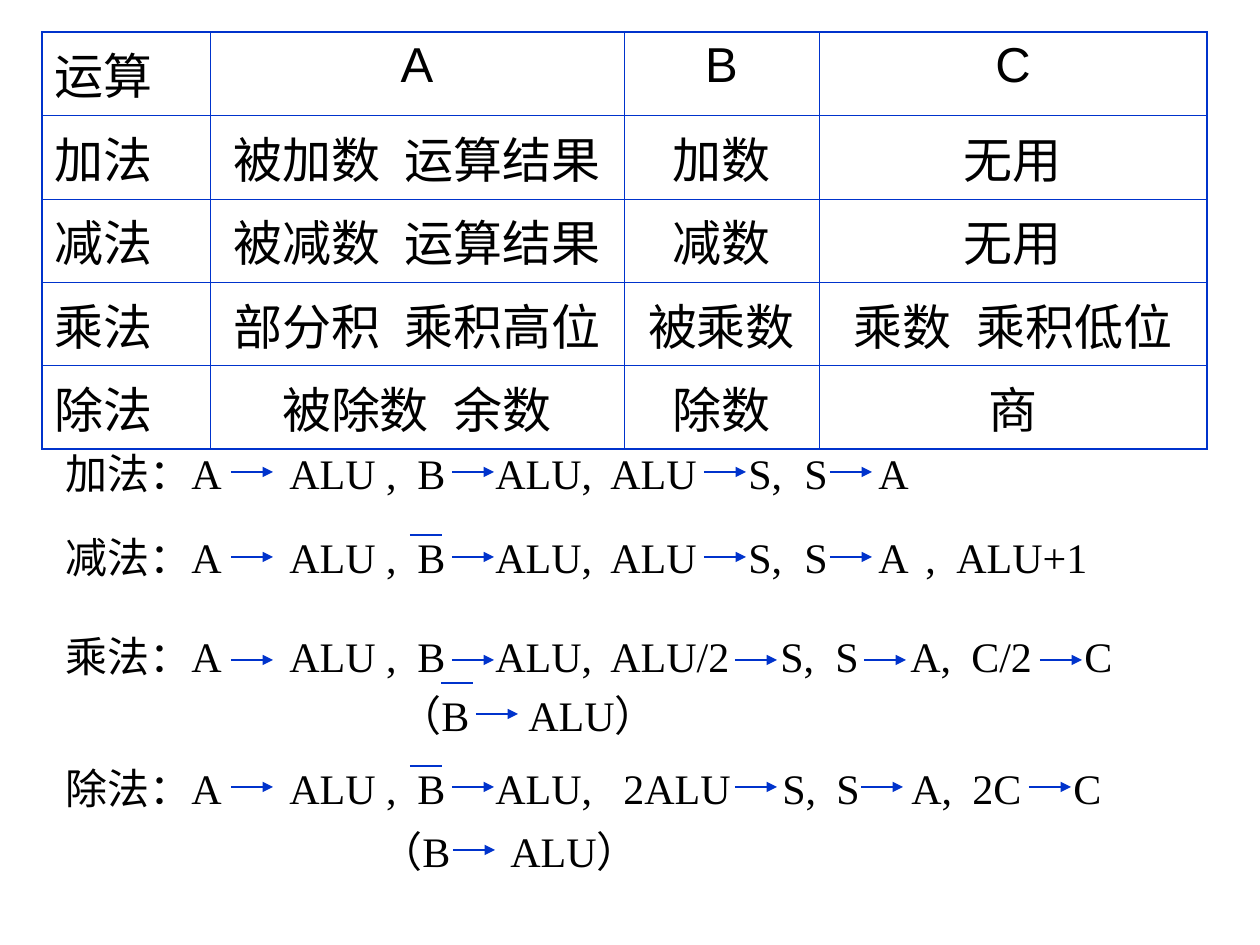
from lxml import etree
from pptx import Presentation
from pptx.dml.color import RGBColor
from pptx.enum.shapes import MSO_CONNECTOR
from pptx.enum.text import MSO_AUTO_SIZE as AutoSize, PP_ALIGN as Align
from pptx.oxml.ns import qn
from pptx.util import Pt

COLORS = {"text": "000000", "line": "0033CC", "cell": "FFFFFF"}

# Register use by operation; a space separates the initial and final content
REGISTERS = [
    ("运算", "A", "B", "C"),
    ("加法", "被加数 运算结果", "加数", "无用"),
    ("减法", "被减数 运算结果", "减数", "无用"),
    ("乘法", "部分积 乘积高位", "被乘数", "乘数 乘积低位"),
    ("除法", "被除数 余数", "除数", "商"),
]
COL_WIDTHS = [168, 414, 195, 388]
ROW_HEIGHTS = [73, 72, 71, 72, 71]
TABLE_LEFT, TABLE_TOP = 42, 32
OUTER, INNER = 1.08, 0.45

# Transfers: box left, top, width, first text, (x, text) stops, arrow y, arrow xs
LOAD = [(290, "ALU ,"), (418, "B"), (496, "ALU,")]
SUM = LOAD + [(611, "ALU"), (749, "S,"), (805, "S"), (879, "A")]
TRANSFERS = [
    (53, 441, 977, "加法：A", SUM, 472, [231, 452, 704, 830]),
    (53, 525, 1092, "减法：A", SUM + [(926, ","), (957, "ALU+1")],
     557, [231, 452, 704, 830]),
    (53, 624, 1134, "乘法：A",
     LOAD + [(611, "ALU/2"), (781, "S,"), (836, "S"), (911, "A,"),
             (972, "C/2"), (1085, "C")],
     660, [231, 452, 735, 864, 1040]),
    (387, 683, 369, "（B", [(529, "ALU）")], 714, [476]),
    (53, 756, 1134, "除法：A",
     LOAD + [(624, "2ALU"), (783, "S,"), (837, "S"), (912, "A,"),
             (973, "2C"), (1074, "C")],
     787, [231, 452, 735, 861, 1029]),
    (368, 819, 369, "（B", [(511, "ALU）")], 850, [453]),
]
BOX_HEIGHT, INSET = 63, 13
ARROW_LENGTH = 42
COMPLEMENT_BARS = [(410, 535), (441, 683), (410, 766)]
BAR_LENGTH = 32


def px(n):
    return round(n * 914400 / 126)


def rgb(name):
    return RGBColor.from_string(COLORS[name])


def set_font(paragraph, face, size):
    font = paragraph.font
    font.name, font.size = face, Pt(size)
    font.color.rgb = rgb("text")


def add_line(x, y, length, arrow=False):
    line = slide.shapes.add_connector(
        MSO_CONNECTOR.STRAIGHT, px(x), px(y), px(x + length), px(y))
    line.line.color.rgb = rgb("line")
    line.line.width = Pt(0.75)
    props = line._element.spPr
    if arrow:
        etree.SubElement(props.find(qn("a:ln")), qn("a:tailEnd"), type="triangle")
    etree.SubElement(props, qn("a:effectLst"))


def add_border(cell, side, width):
    border = etree.SubElement(cell._tc.get_or_add_tcPr(), qn(f"a:ln{side}"),
                              w=str(Pt(width)))
    fill = etree.SubElement(border, qn("a:solidFill"))
    etree.SubElement(fill, qn("a:srgbClr"), val=COLORS["line"])


def fill_cell(cell, text, row, col):
    last_row, last_col = len(REGISTERS) - 1, len(COL_WIDTHS) - 1
    edges = {"L": col == 0, "R": col == last_col,
             "T": row == 0, "B": row == last_row}
    for side, is_outer in edges.items():
        add_border(cell, side, OUTER if is_outer else INNER)
    cell.fill.solid()
    cell.fill.fore_color.rgb = rgb("cell")
    paragraph = cell.text_frame.paragraphs[0]
    paragraph.alignment = Align.CENTER if col else Align.LEFT
    paragraph.space_before = Pt(7)
    set_font(paragraph, "Arial", 28)
    before, space, after = text.partition(" ")
    paragraph.add_run().text = before
    if space:
        gap = paragraph.add_run()
        gap.text = space
        gap._r.get_or_add_rPr().set("spc", "800")  # widen the gap
        paragraph.add_run().text = after


def add_transfer(left, top, width, first, stops):
    box = slide.shapes.add_textbox(px(left), px(top), px(width), px(BOX_HEIGHT))
    frame = box.text_frame
    frame.word_wrap = True
    frame.auto_size = AutoSize.SHAPE_TO_FIT_TEXT
    paragraph = frame.paragraphs[0]
    paragraph.text = "\t".join([first] + [text for _, text in stops])
    tabs = etree.SubElement(paragraph._p.get_or_add_pPr(), qn("a:tabLst"))
    for x, _ in stops:
        etree.SubElement(tabs, qn("a:tab"), pos=str(px(x - left - INSET)), algn="l")
    set_font(paragraph, "Times New Roman", 24)


prs = Presentation()
prs.slide_width, prs.slide_height = px(1260), px(945)
slide = prs.slides.add_slide(prs.slide_layouts[6])

# Register table
table = slide.shapes.add_table(
    len(REGISTERS), len(COL_WIDTHS), px(TABLE_LEFT), px(TABLE_TOP),
    px(sum(COL_WIDTHS)), px(sum(ROW_HEIGHTS))).table
table.first_row = table.horz_banding = False
for column, width in zip(table.columns, COL_WIDTHS):
    column.width = px(width)
for r, (row, height) in enumerate(zip(table.rows, ROW_HEIGHTS)):
    row.height = px(height)
    for c, text in enumerate(REGISTERS[r]):
        fill_cell(table.cell(r, c), text, r, c)

# Transfer sequences with their arrows
for left, top, width, first, stops, arrow_y, arrow_xs in TRANSFERS:
    add_transfer(left, top, width, first, stops)
    for x in arrow_xs:
        add_line(x, arrow_y, ARROW_LENGTH, arrow=True)

# Bars over the complemented B
for x, y in COMPLEMENT_BARS:
    add_line(x, y, BAR_LENGTH)

prs.save("out.pptx")
